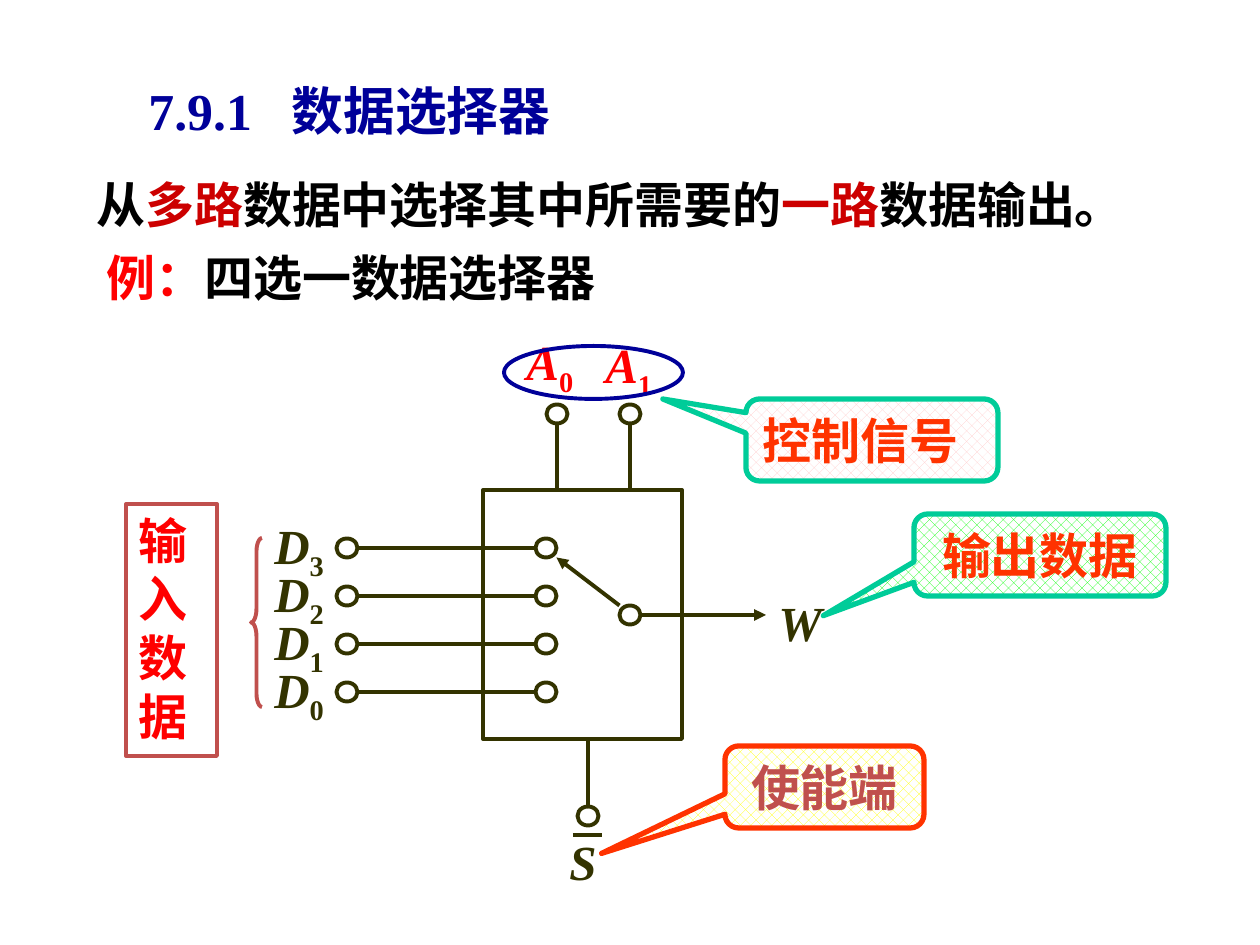
import pptx
import pptx.dml.color
import pptx.enum.dml
import pptx.enum.shapes
import pptx.enum.text
import pptx.oxml.ns
import pptx.util
from lxml import etree

RGBColor = pptx.dml.color.RGBColor
SHAPE = pptx.enum.shapes.MSO_SHAPE
ALIGN = pptx.enum.text.PP_ALIGN
ANCHOR = pptx.enum.text.MSO_ANCHOR
qn = pptx.oxml.ns.qn

NAVY = RGBColor(0x00, 0x00, 0x99)
BLACK = RGBColor(0x00, 0x00, 0x00)
WHITE = RGBColor(0xFF, 0xFF, 0xFF)
CRIMSON = RGBColor(0xCC, 0x00, 0x00)
RED = RGBColor(0xFF, 0x00, 0x00)
BRICK = RGBColor(0xC0, 0x50, 0x4D)
ORANGE = RGBColor(0xFF, 0x33, 0x00)
TEAL = RGBColor(0x00, 0xCC, 0x99)
OLIVE = RGBColor(0x33, 0x33, 0x00)
GREEN = RGBColor(0x00, 0xFF, 0x00)
YELLOW = RGBColor(0xFF, 0xFF, 0x00)
PINK = RGBColor(0xFF, 0xCC, 0xCC)

FONT = "Times New Roman"
BODY_SIZE = 28
LINE_WIDTH = 2.25
EMU_PER_PX = 914400 / 126

# Runs are (text, colour)
TITLE = [("7.9.1\t数据选择器", NAVY)]
TITLE_TAB = 143
DEFINITION = [("从", BLACK), ("多路", CRIMSON), ("数据中选择其中所需要的", BLACK),
              ("一路", CRIMSON), ("数据输出。", BLACK)]
EXAMPLE = [("例：", RED), ("四选一数据选择器", BLACK)]

# text, box, pointer adjustments, pattern colour, line colour, text colour, alignment
CALLOUTS = [
    ("输出数据", (914, 514, 252, 82), (-0.86, 0.74), GREEN, TEAL, ORANGE, ALIGN.CENTER),
    ("使能端", (725, 746, 199, 82), (-1.12, 0.81), YELLOW, ORANGE, BRICK, ALIGN.CENTER),
    ("控制信号", (746, 399, 252, 82), (-0.83, -0.5), PINK, TEAL, ORANGE, ALIGN.LEFT),
]

# letter, subscript, left, top, width, colour
LABELS = [
    ("A", "0", 514, 325, 74, RED),
    ("A", "1", 593, 328, 74, RED),
    ("W", "", 766, 586, 84, OLIVE),
    ("S", "", 557, 825, 53, OLIVE),
]

INPUTS = ["3", "2", "1", "0"]
FIRST_INPUT_Y, INPUT_PITCH = 548, 48
INPUT_X, CONTACT_X, LABEL_X = 347, 546, 262
BLOCK = (483, 490, 199, 249)
TERMINAL_W, TERMINAL_H = 21, 19
CONTROL_XS, CONTROL_Y = (557, 630), 414
SWITCH_X, SWITCH_Y = 630, 615
ENABLE_X, ENABLE_Y = 588, 816

presentation = pptx.Presentation()
presentation.slide_width = pptx.util.Inches(10)
presentation.slide_height = pptx.util.Inches(7.5)
slide = presentation.slides.add_slide(presentation.slide_layouts[6])


def px(length):
    return round(length * EMU_PER_PX)


def style_run(run, color, size=BODY_SIZE):
    run.font.name = FONT
    run.font.size = pptx.util.Pt(size)
    run.font.bold = True
    run.font.color.rgb = color


def write_runs(paragraph, runs, size=BODY_SIZE):
    for text, color in runs:
        run = paragraph.add_run()
        run.text = text
        style_run(run, color, size)


def add_text(box, wrap=True):
    """Add an empty text box and return its first paragraph."""
    frame = slide.shapes.add_textbox(*map(px, box)).text_frame
    frame.word_wrap = wrap
    return frame.paragraphs[0]


def add_outline(kind, box, color=OLIVE, width=LINE_WIDTH):
    shape = slide.shapes.add_shape(kind, *map(px, box))
    shape.shadow.inherit = False
    shape.fill.background()
    shape.line.color.rgb = color
    shape.line.width = pptx.util.Pt(width)
    return shape


def add_terminal(x, y):
    """Draw a small circle centred on (x, y)."""
    add_outline(SHAPE.OVAL, (x - TERMINAL_W / 2, y - TERMINAL_H / 2, TERMINAL_W, TERMINAL_H))


def add_wire(x1, y1, x2, y2, arrow=False):
    wire = slide.shapes.add_connector(
        pptx.enum.shapes.MSO_CONNECTOR.STRAIGHT, *map(px, (x1, y1, x2, y2)))
    wire.line.color.rgb = OLIVE
    wire.line.width = pptx.util.Pt(LINE_WIDTH)
    if arrow:
        etree.SubElement(wire.line._get_or_add_ln(), qn("a:tailEnd"), type="triangle")
    etree.SubElement(wire._element.spPr, qn("a:effectLst"))


def add_label(letter, subscript, left, top, width, color):
    paragraph = add_text((left, top, width, 72), wrap=False)
    write_runs(paragraph, [(part, color) for part in (letter, subscript) if part])
    paragraph.runs[0].font.italic = True
    if subscript:
        paragraph.runs[1]._r.get_or_add_rPr().set("baseline", "-25000")


def add_callout(text, box, pointer, pattern_color, line_color, text_color, align):
    callout = add_outline(SHAPE.ROUNDED_RECTANGULAR_CALLOUT, box, line_color, 3)
    callout.adjustments[0], callout.adjustments[1] = pointer
    callout.fill.patterned()
    # python-pptx spells the 40 percent member without its first letter
    callout.fill.pattern = pptx.enum.dml.MSO_PATTERN.ERCENT_40
    callout.fill.fore_color.rgb = pattern_color
    callout.fill.back_color.rgb = WHITE
    callout.text_frame.vertical_anchor = ANCHOR.MIDDLE
    paragraph = callout.text_frame.paragraphs[0]
    paragraph.alignment = align
    write_runs(paragraph, [(text, text_color)])


# Headings
title = add_text((136, 73, 514, 63))
tabs = etree.SubElement(title._p.get_or_add_pPr(), qn("a:tabLst"))
etree.SubElement(tabs, qn("a:tab"), pos=str(px(TITLE_TAB)), algn="l")
write_runs(title, TITLE, 29.6)
write_runs(add_text((84, 168, 1040, 72)), DEFINITION)
write_runs(add_text((94, 241, 518, 72), wrap=False), EXAMPLE)

# Input data box and brace
brace = add_outline(SHAPE.LEFT_BRACE, (251, 538, 11, 169), BRICK)
brace.adjustments[0] = 1.24
input_box = add_outline(SHAPE.RECTANGLE, (126, 504, 91, 252), BRICK)
input_box.text_frame.word_wrap = True
input_box.text_frame.vertical_anchor = ANCHOR.TOP
input_text = input_box.text_frame.paragraphs[0]
input_text.alignment = ALIGN.LEFT
write_runs(input_text, [("输入数据", RED)])

# Selector block with its inputs, controls, switch and enable pin
add_outline(SHAPE.RECTANGLE, BLOCK)
block_top, block_bottom = BLOCK[1], BLOCK[1] + BLOCK[3]
for row, index in enumerate(INPUTS):
    y = FIRST_INPUT_Y + row * INPUT_PITCH
    add_label("D", index, LABEL_X, y - 39, 77, OLIVE)
    add_wire(INPUT_X + TERMINAL_W / 2, y, CONTACT_X - TERMINAL_W / 2, y)
    add_terminal(INPUT_X, y)
    add_terminal(CONTACT_X, y)
for x in CONTROL_XS:
    add_terminal(x, CONTROL_Y)
    add_wire(x, CONTROL_Y + TERMINAL_H / 2, x, block_top)
add_terminal(SWITCH_X, SWITCH_Y)
add_wire(SWITCH_X + TERMINAL_W / 2, SWITCH_Y, 766, SWITCH_Y, arrow=True)
add_wire(SWITCH_X - TERMINAL_W / 2, SWITCH_Y - TERMINAL_H / 2,
         CONTACT_X + TERMINAL_W / 2, FIRST_INPUT_Y + TERMINAL_H / 2, arrow=True)
add_wire(ENABLE_X, block_bottom, ENABLE_X, ENABLE_Y - TERMINAL_H / 2)
add_terminal(ENABLE_X, ENABLE_Y)
add_wire(573, 835, 602, 835)

for label in LABELS:
    add_label(*label)
for callout_content in CALLOUTS:
    add_callout(*callout_content)
add_outline(SHAPE.OVAL, (504, 346, 179, 53), NAVY)

presentation.save("out.pptx")
